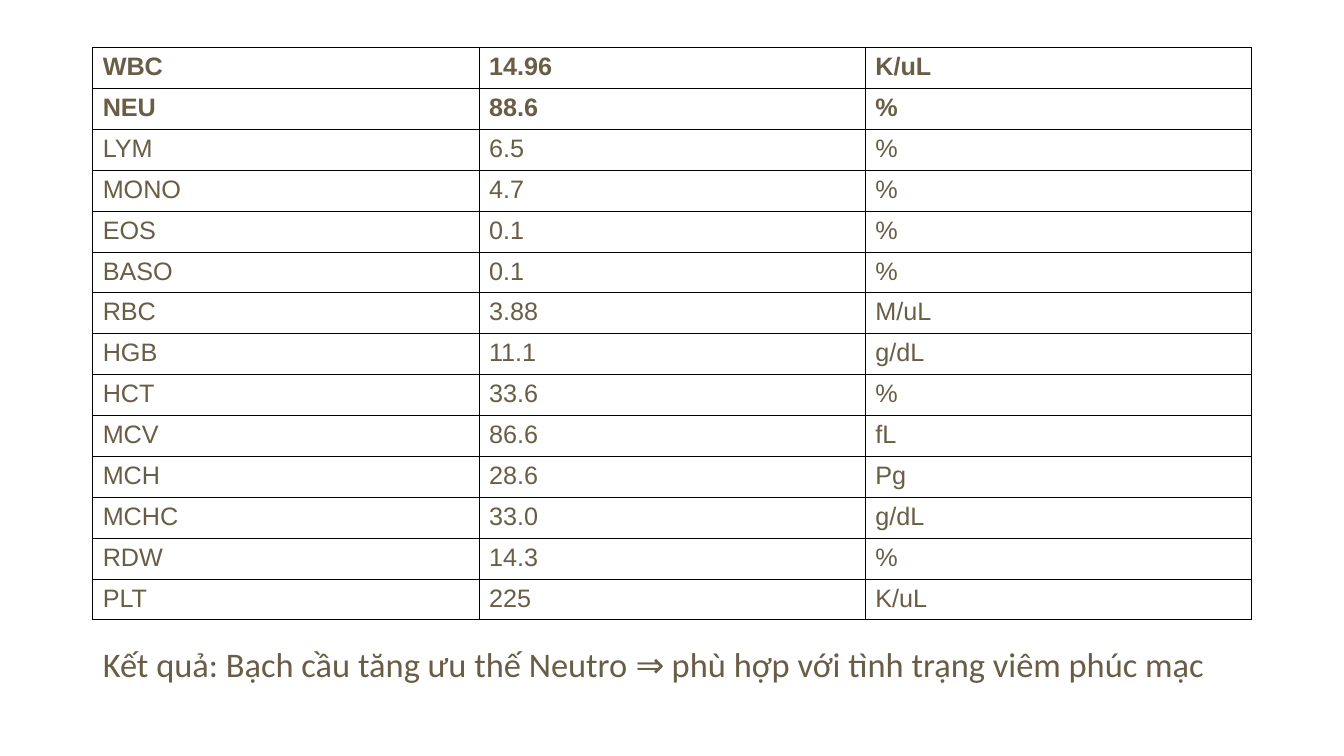
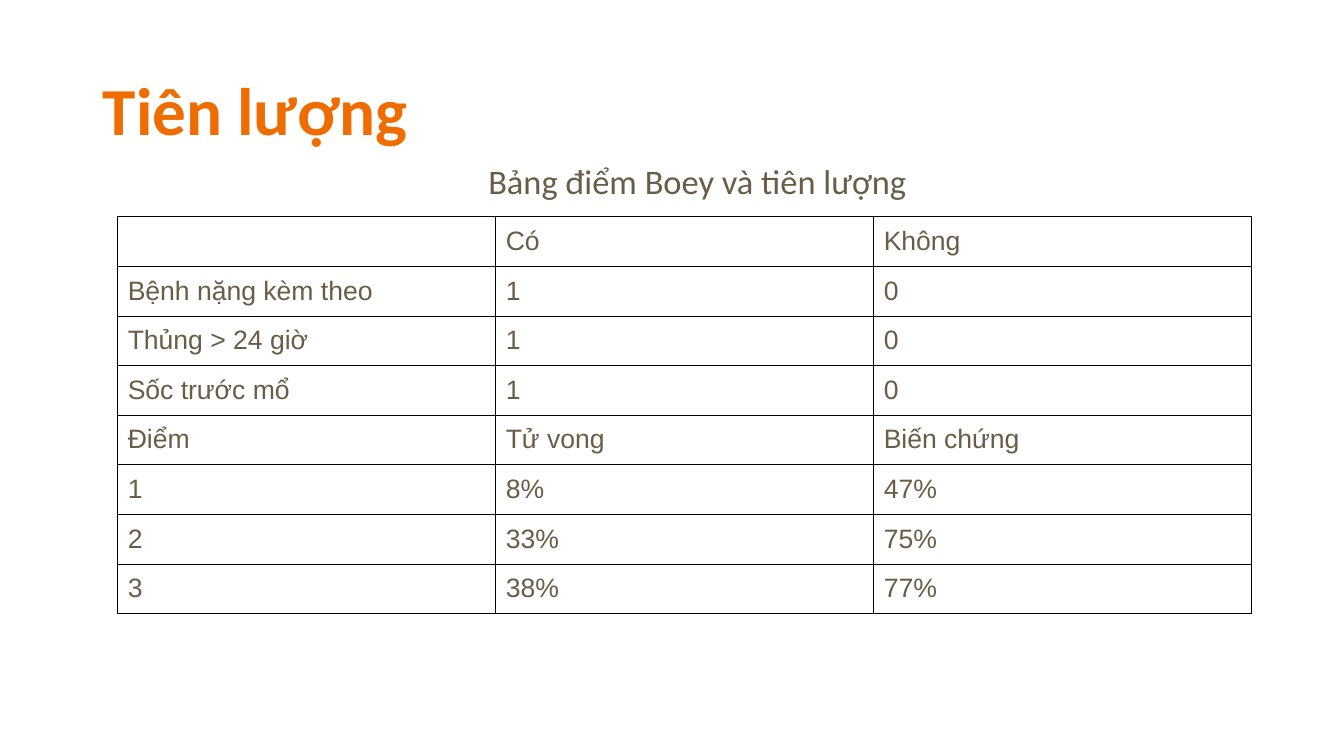
from dataclasses import dataclass

import pptx
import pptx.dml.color
import pptx.enum.text
import pptx.oxml
import pptx.oxml.ns
import pptx.util
from pptx.util import Cm

ALIGN = pptx.enum.text.PP_ALIGN
ANCHOR = pptx.enum.text.MSO_ANCHOR


@dataclass(frozen=True)
class Theme:
    text: str = "695D46"
    accent: str = "EF6C00"
    border: str = "000000"
    heading_font: str = "Calibri"
    table_font: str = "Arial"
    title_size: float = 48
    body_size: float = 24.6
    border_width: float = 0.75
    side_inset: float = 0.25
    top_inset: float = 0.13


class Deck:
    """Holds the theme and the slide being filled."""

    def __init__(self, theme):
        self.theme = theme
        self.presentation = pptx.Presentation()
        self.presentation.slide_width = Cm(33.87)
        self.presentation.slide_height = Cm(19.05)
        self.slide = None

    def add_slide(self):
        layout = self.presentation.slide_layouts.get_by_name("Title and Content")
        self.slide = self.presentation.slides.add_slide(layout)

    def style(self, paragraph, font, size, color, bold=False):
        for run in paragraph.runs:
            run.font.name = font
            run.font.size = pptx.util.Pt(size)
            run.font.bold = bold
            run.font.color.rgb = pptx.dml.color.RGBColor.from_string(color)

    def fill_placeholder(self, shape, text, box, size, color, spacing,
                         align=ALIGN.LEFT, anchor=ANCHOR.TOP, bold=False):
        shape.left, shape.top, shape.width, shape.height = map(Cm, box)
        frame = shape.text_frame
        frame.text = text
        frame.word_wrap = True
        frame.auto_size = pptx.enum.text.MSO_AUTO_SIZE.NONE
        frame.vertical_anchor = anchor
        frame.margin_left = frame.margin_right = Cm(self.theme.side_inset)
        frame.margin_top = frame.margin_bottom = Cm(self.theme.top_inset)
        paragraph = frame.paragraphs[0]
        paragraph.alignment = align
        paragraph.line_spacing = spacing
        paragraph.space_before = pptx.util.Pt(0)
        self.style(paragraph, self.theme.heading_font, size, color, bold)
        return paragraph

    def title(self, text, box):
        self.fill_placeholder(self.slide.shapes.title, text, box,
                              self.theme.title_size, self.theme.accent, 0.9,
                              anchor=ANCHOR.MIDDLE, bold=True)

    def no_title(self):
        element = self.slide.shapes.title.element
        element.getparent().remove(element)

    def body(self, text, box, align=ALIGN.LEFT):
        paragraph = self.fill_placeholder(
            self.slide.placeholders[1], text, box,
            self.theme.body_size, self.theme.text, 0.7, align=align)
        # Plain line: no bullet and no hanging indent
        properties = paragraph._p.get_or_add_pPr()
        properties.set("marL", "0")
        properties.set("indent", "0")
        properties.append(pptx.oxml.parse_xml(
            f'<a:buNone {pptx.oxml.ns.nsdecls("a")}/>'))

    def borders(self, cell):
        properties = cell._tc.get_or_add_tcPr()
        width = pptx.util.Pt(self.theme.border_width)
        for position, side in enumerate(("lnL", "lnR", "lnT", "lnB")):
            properties.insert(position, pptx.oxml.parse_xml(
                f'<a:{side} {pptx.oxml.ns.nsdecls("a")} w="{width}"><a:solidFill>'
                f'<a:srgbClr val="{self.theme.border}"/></a:solidFill></a:{side}>'))

    def table(self, rows, left, top, width, row_height, size, inset, bold_rows=0):
        table = self.slide.shapes.add_table(
            len(rows), len(rows[0]), Cm(left), Cm(top), Cm(width),
            Cm(row_height * len(rows))).table
        table.first_row = table.horz_banding = False
        for row_index, values in enumerate(rows):
            table.rows[row_index].height = Cm(row_height)
            for column_index, value in enumerate(values):
                cell = table.cell(row_index, column_index)
                cell.text = value
                cell.margin_left = cell.margin_right = Cm(self.theme.side_inset)
                cell.margin_top = cell.margin_bottom = Cm(inset)
                cell.fill.background()
                self.borders(cell)
                self.style(cell.text_frame.paragraphs[0], self.theme.table_font,
                           size, self.theme.text, row_index < bold_rows)


BLOOD_COUNT = [
    ("WBC", "14.96", "K/uL"),
    ("NEU", "88.6", "%"),
    ("LYM", "6.5", "%"),
    ("MONO", "4.7", "%"),
    ("EOS", "0.1", "%"),
    ("BASO", "0.1", "%"),
    ("RBC", "3.88", "M/uL"),
    ("HGB", "11.1", "g/dL"),
    ("HCT", "33.6", "%"),
    ("MCV", "86.6", "fL"),
    ("MCH", "28.6", "Pg"),
    ("MCHC", "33.0", "g/dL"),
    ("RDW", "14.3", "%"),
    ("PLT", "225", "K/uL"),
]

BOEY_SCORE = [
    ("", "Có", "Không"),
    ("Bệnh nặng kèm theo", "1", "0"),
    ("Thủng > 24 giờ", "1", "0"),
    ("Sốc trước mổ", "1", "0"),
    ("Điểm", "Tử vong", "Biến chứng"),
    ("1", "8%", "47%"),
    ("2", "33%", "75%"),
    ("3", "38%", "77%"),
]


def main():
    deck = Deck(Theme())

    # Blood count results
    deck.add_slide()
    deck.no_title()
    deck.table(BLOOD_COUNT, 2.34, 1.2, 29.21, 1.03, size=18, inset=0.13, bold_rows=2)
    deck.body("Kết quả: Bạch cầu tăng ưu thế Neutro ⇒ phù hợp với "
              "tình trạng viêm phúc mạc", (2.34, 16.36, 29.21, 3.33))

    # Prognosis by Boey score
    deck.add_slide()
    deck.title("Tiên lượng", (2.34, 1.02, 29.21, 3.68))
    deck.table(BOEY_SCORE, 2.97, 5.46, 28.58, 1.25, size=19, inset=0.24)
    deck.body("Bảng điểm Boey và tiên lượng", (2.97, 4.19, 29.21, 1.8), ALIGN.CENTER)

    deck.presentation.save("out.pptx")


if __name__ == "__main__":
    main()
